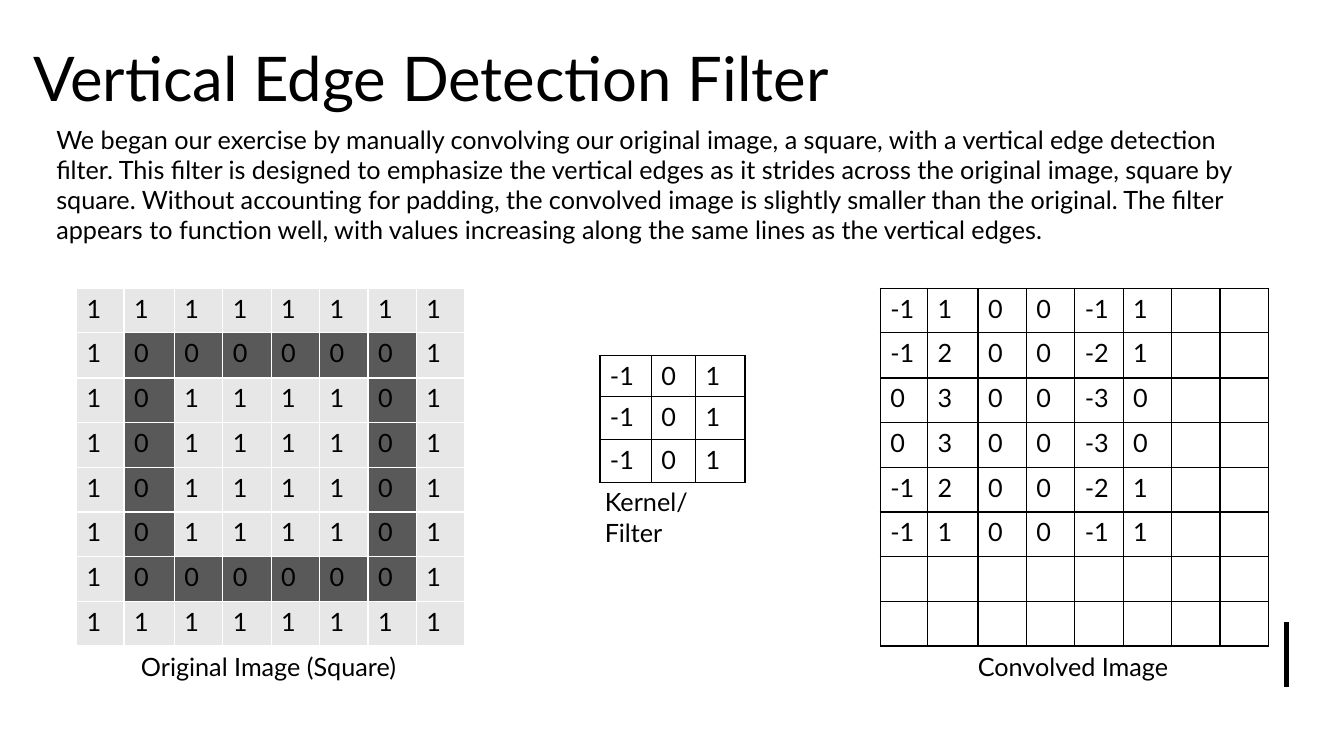
from dataclasses import dataclass

from lxml import etree
from pptx import Presentation
from pptx import util as u
from pptx.dml.color import RGBColor
from pptx.enum import shapes, text
from pptx.oxml import ns

PX = 9144  # EMU in one px, 100 px to the inch


@dataclass(frozen=True)
class Theme:
    font: str = "Lato"
    ink: str = "000000"
    paper: str = "FFFFFF"
    light: str = "E7E7E7"
    dark: str = "595959"
    title_size: int = 44
    body_size: int = 18
    border: int = 1
    accent: int = 3


@dataclass(frozen=True)
class Label:
    words: str
    left: int
    top: int
    width: int
    height: int
    size: int
    anchor: text.MSO_ANCHOR = text.MSO_ANCHOR.TOP


@dataclass(frozen=True)
class Grid:
    """A matrix of values; fills maps a value to a colour, default_fill covers the rest."""
    left: int
    top: int
    columns: list[int]
    rows: list[int]
    values: list[str]
    border: str
    default_fill: str | None
    fills: dict[str, str]


def px(length: int) -> u.Emu:
    return u.Emu(length * PX)


def even_split(total: int, count: int) -> list[int]:
    edges = [round(total * i / count) for i in range(count + 1)]
    return [end - start for start, end in zip(edges, edges[1:])]


THEME = Theme()
IMAGE_COLUMNS = [47, 50] + [48] * 6
IMAGE_ROWS = even_split(355, 8)
FULL_ROW = "1 1 1 1 1 1 1 1"
EDGE_ROW = "1 0 0 0 0 0 0 1"
SIDE_ROW = "1 0 1 1 1 1 0 1"
OUTER, MIDDLE, INNER = "-1 1 0 0 -1 1", "-1 2 0 0 -2 1", "0 3 0 0 -3 0"

GRIDS = [
    Grid(595, 353, [51, 44, 49], [40, 43, 43], ["-1 0 1"] * 3, THEME.ink, None, {}),
    Grid(873, 286, IMAGE_COLUMNS, IMAGE_ROWS,
         [OUTER, MIDDLE, INNER, INNER, MIDDLE, OUTER, "", ""],
         THEME.ink, THEME.paper, {}),
    Grid(76, 286, IMAGE_COLUMNS, IMAGE_ROWS,
         [FULL_ROW, EDGE_ROW, *[SIDE_ROW] * 4, EDGE_ROW, FULL_ROW],
         THEME.paper, THEME.light, {"0": THEME.dark}),
]

LABELS = [
    Label("Vertical Edge Detection Filter", 23, 35, 862, 83, THEME.title_size,
          text.MSO_ANCHOR.MIDDLE),
    Label("Original Image (Square)", 130, 641, 276, 40, THEME.body_size),
    Label("Kernel/Filter", 590, 478, 154, 70, THEME.body_size),
    Label("Convolved Image", 960, 641, 210, 40, THEME.body_size),
    Label("We began our exercise by manually convolving our original image, a square, "
          "with a vertical edge detection filter. This filter is designed to emphasize "
          "the vertical edges as it strides across the original image, square by square. "
          "Without accounting for padding, the convolved image is slightly smaller than "
          "the original. The filter appears to function well, with values increasing "
          "along the same lines as the vertical edges.",
          46, 118, 1212, 131, THEME.body_size),
]


def add_run(paragraph, words: str, size: int) -> None:
    run = paragraph.add_run()
    run.text = words
    run.font.name = THEME.font
    run.font.size = u.Pt(size)
    run.font.color.rgb = RGBColor.from_string(THEME.ink)


def add_label(slide, label: Label) -> None:
    shape = slide.shapes.add_textbox(
        px(label.left), px(label.top), px(label.width), px(label.height))
    frame = shape.text_frame
    frame.word_wrap = True
    frame.vertical_anchor = label.anchor
    add_run(frame.paragraphs[0], label.words, label.size)


def add_borders(cell, colour: str) -> None:
    """Insert the four side lines ahead of the cell's fill, as the schema orders them."""
    properties = cell._tc.get_or_add_tcPr()
    for position, side in enumerate(("lnL", "lnR", "lnT", "lnB")):
        line = etree.Element(ns.qn(f"a:{side}"), w=str(u.Pt(THEME.border)))
        fill = etree.SubElement(line, ns.qn("a:solidFill"))
        etree.SubElement(fill, ns.qn("a:srgbClr"), val=colour)
        properties.insert(position, line)


def add_grid(slide, grid: Grid) -> None:
    table = slide.shapes.add_table(
        len(grid.rows), len(grid.columns), px(grid.left), px(grid.top),
        px(sum(grid.columns)), px(sum(grid.rows))).table
    table.first_row = False
    table.horz_banding = False
    for column, width in zip(table.columns, grid.columns):
        column.width = px(width)
    for row, height, line in zip(table.rows, grid.rows, grid.values):
        row.height = px(height)
        values = line.split()
        values += [""] * (len(grid.columns) - len(values))
        for cell, value in zip(row.cells, values):
            colour = grid.fills.get(value, grid.default_fill)
            if colour:
                cell.fill.solid()
                cell.fill.fore_color.rgb = RGBColor.from_string(colour)
            else:
                cell.fill.background()
            add_borders(cell, grid.border)
            if value:
                add_run(cell.text_frame.paragraphs[0], value, THEME.body_size)


def add_accent_line(slide) -> None:
    line = slide.shapes.add_connector(
        shapes.MSO_CONNECTOR.STRAIGHT, px(1276), px(617), px(1276), px(682))
    line.line.color.rgb = RGBColor.from_string(THEME.ink)
    line.line.width = u.Pt(THEME.accent)
    etree.SubElement(line._element.spPr, ns.qn("a:effectLst"))


def main() -> None:
    presentation = Presentation()
    presentation.slide_width = px(1333)
    presentation.slide_height = px(750)
    slide = presentation.slides.add_slide(presentation.slide_layouts[6])
    slide.background.fill.solid()
    slide.background.fill.fore_color.rgb = RGBColor.from_string(THEME.paper)
    add_accent_line(slide)
    for grid in GRIDS:
        add_grid(slide, grid)
    for label in LABELS:
        add_label(slide, label)
    presentation.save("out.pptx")


if __name__ == "__main__":
    main()
